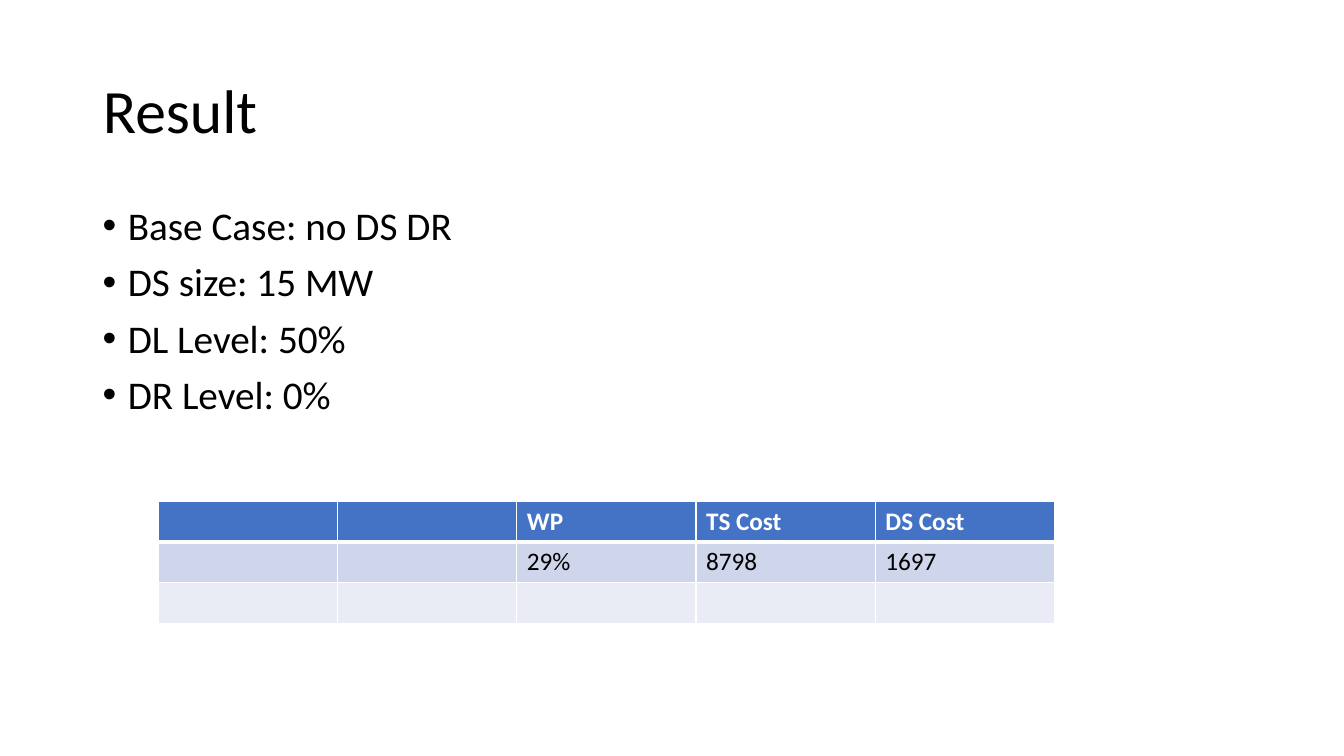
import dataclasses

import lxml.etree
import pptx
import pptx.dml.color
import pptx.enum.text
import pptx.oxml.ns
import pptx.util

Inches = pptx.util.Inches
Pt = pptx.util.Pt
qn = pptx.oxml.ns.qn


@dataclasses.dataclass(frozen=True)
class Theme:
    font: str = "Calibri"
    black: str = "000000"
    white: str = "FFFFFF"
    header_fill: str = "4472C4"
    band_fills: tuple = ("CFD5EA", "E9EBF5")
    title_size: int = 44
    body_size: int = 28
    table_size: int = 18


THEME = Theme()

BULLETS = ["Base Case: no DS DR", "DS size: 15 MW", "DL Level: 50%", "DR Level: 0%"]
RESULTS = [
    ["", "", "WP", "TS Cost", "DS Cost"],
    ["", "", "29%", "8798", "1697"],
    ["", "", "", "", ""],
]


def color(value):
    return pptx.dml.color.RGBColor.from_string(value)


def write_text(paragraph, text, size, fill=THEME.black, bold=False, line_spacing=None, space_before=0):
    paragraph.alignment = pptx.enum.text.PP_ALIGN.LEFT
    paragraph.space_before = Pt(space_before)
    if line_spacing:
        paragraph.line_spacing = line_spacing
    run = paragraph.add_run()
    run.text = text
    run.font.name = THEME.font
    run.font.size = Pt(size)
    run.font.bold = bold
    run.font.color.rgb = color(fill)


def add_bullet(paragraph, indent):
    properties = paragraph._p.get_or_add_pPr()
    properties.set("marL", str(indent))
    properties.set("indent", str(-indent))
    font = lxml.etree.SubElement(properties, qn("a:buFont"))
    font.set("typeface", "Arial")
    lxml.etree.SubElement(properties, qn("a:buChar")).set("char", "•")


def add_borders(cell, header):
    properties = cell._tc.get_or_add_tcPr()
    for side in ("L", "R", "T", "B"):
        width = 3 if header and side == "B" else 1
        line = lxml.etree.SubElement(properties, qn(f"a:ln{side}"), w=str(Pt(width)))
        fill = lxml.etree.SubElement(line, qn("a:solidFill"))
        lxml.etree.SubElement(fill, qn("a:srgbClr"), val=THEME.white)


def place_title(slide, text, left, top, width, height):
    title = slide.shapes.title
    title.left, title.top, title.width, title.height = left, top, width, height
    title.text_frame.word_wrap = True
    title.text_frame.vertical_anchor = pptx.enum.text.MSO_ANCHOR.MIDDLE
    write_text(title.text_frame.paragraphs[0], text, THEME.title_size, line_spacing=0.9)


def place_bullets(slide, items, left, top, width, height):
    frame = slide.shapes.add_textbox(left, top, width, height).text_frame
    frame.word_wrap = True
    for index, item in enumerate(items):
        paragraph = frame.add_paragraph() if index else frame.paragraphs[0]
        write_text(paragraph, item, THEME.body_size, line_spacing=0.9, space_before=10)
        add_bullet(paragraph, Inches(0.25))


def place_results(slide, rows, left, top, width, height):
    table = slide.shapes.add_table(len(rows), len(rows[0]), left, top, width, height).table
    for row_index, row in enumerate(rows):
        header = row_index == 0
        background = THEME.header_fill if header else THEME.band_fills[(row_index - 1) % 2]
        for column_index, text in enumerate(row):
            cell = table.cell(row_index, column_index)
            add_borders(cell, header)
            cell.fill.solid()
            cell.fill.fore_color.rgb = color(background)
            if text:
                write_text(cell.text_frame.paragraphs[0], text, THEME.table_size,
                           fill=THEME.white if header else THEME.black, bold=header)


def main():
    presentation = pptx.Presentation()
    presentation.slide_width = Inches(13.33)
    presentation.slide_height = Inches(7.5)
    slide = presentation.slides.add_slide(presentation.slide_layouts.get_by_name("Title Only"))
    place_title(slide, "Result", Inches(0.92), Inches(0.4), Inches(11.5), Inches(1.45))
    place_bullets(slide, BULLETS, Inches(0.92), Inches(2), Inches(11.5), Inches(4.76))
    place_results(slide, RESULTS, Inches(1.57), Inches(4.97), Inches(8.89), Inches(1.22))
    presentation.save("out.pptx")


if __name__ == "__main__":
    main()
